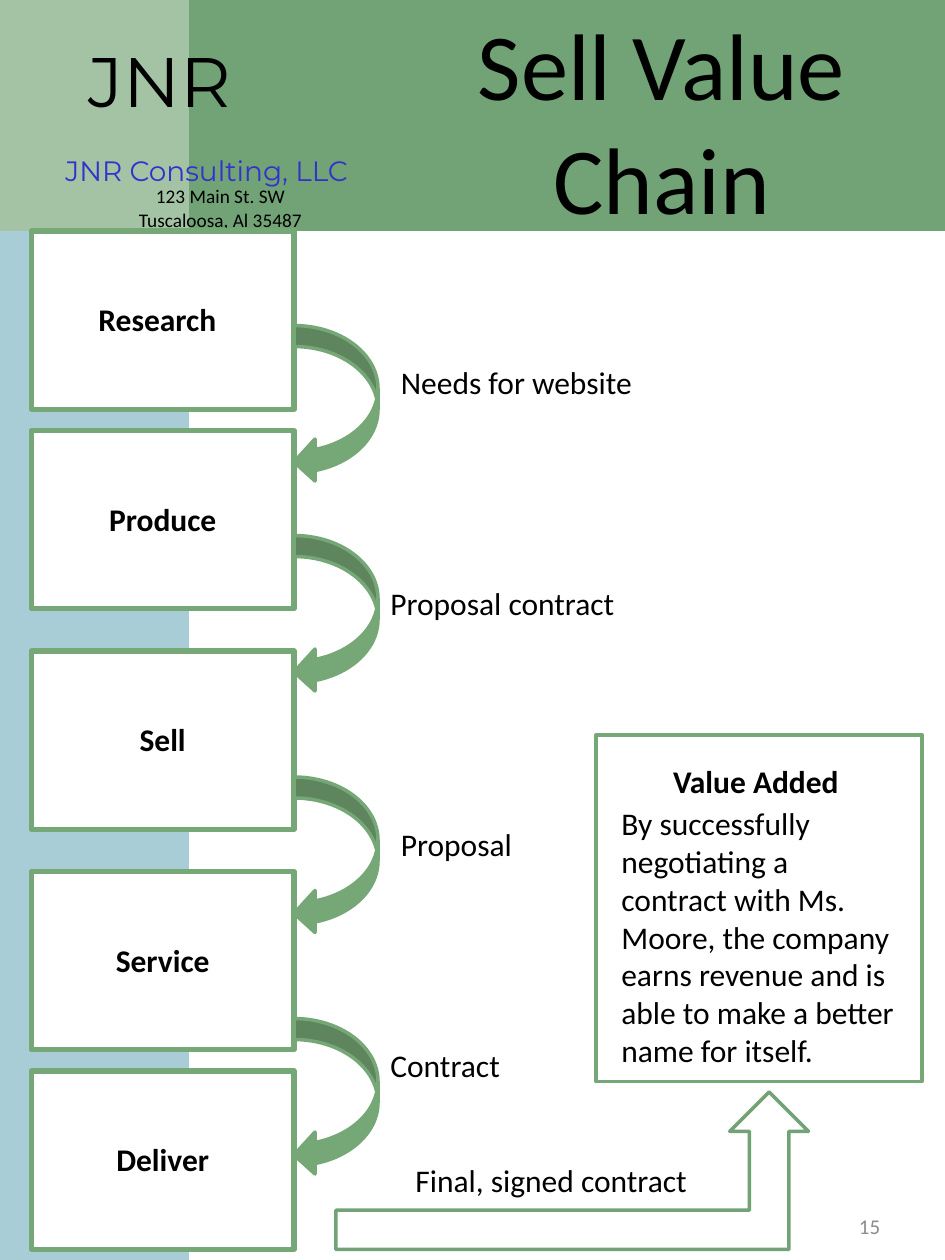
from lxml import etree
from pptx import Presentation
from pptx import util as u
from pptx.dml import color
from pptx.enum import shapes, text
from pptx.oxml import ns

PX = 7620  # EMU per px, 120 px to the inch
GREEN, STAGE_GREEN, WHITE, BLACK = "72A376", "76A776", "FFFFFF", "000000"
LEFT, CENTER, RIGHT = text.PP_ALIGN.LEFT, text.PP_ALIGN.CENTER, text.PP_ALIGN.RIGHT
KIND = shapes.MSO_SHAPE

STAGES = ["Research", "Produce", "Sell", "Service", "Deliver"]
STAGE_TOPS = [220, 410, 620, 830, 1020]
STAGE_LEFT, STAGE_WIDTH, STAGE_HEIGHT = 30, 250, 170
HANDOVER_TOPS = [310, 510, 740, 970]
HANDOVERS = [
    ("Needs for website", 370, 340, 280),
    ("Proposal contract", 360, 550, 260),
    ("Proposal", 370, 780, 190),
    ("Contract", 360, 990, 180),
]
VALUE = ("By successfully negotiating a contract with Ms. Moore, the company "
         "earns revenue and is able to make a better name for itself.")


def rgb(value):
    return color.RGBColor.from_string(value)


def px(*lengths):
    return [u.Emu(length * PX) for length in lengths]


def add_block(slide, kind, box, fill, line=None, weight=0, alpha=None):
    shape = slide.shapes.add_shape(kind, *px(*box))
    shape.shadow.inherit = False
    shape.fill.solid()
    shape.fill.fore_color.rgb = rgb(fill)
    if alpha is not None:
        fill_color = shape.element.spPr.find(".//" + ns.qn("a:srgbClr"))
        etree.SubElement(fill_color, ns.qn("a:alpha"), val=str(alpha * 1000))
    if line:
        shape.line.color.rgb = rgb(line)
        shape.line.width = u.Pt(weight)
    else:
        shape.line.fill.background()


def write(frame, lines, size, hue=BLACK, align=LEFT, bold=False, font="Calibri"):
    for index, line in enumerate(lines):
        paragraph = frame.paragraphs[0] if index == 0 else frame.add_paragraph()
        paragraph.alignment = align
        run = paragraph.add_run()
        run.text = line
        run.font.name = font
        run.font.size = u.Pt(size)
        run.font.bold = bold
        run.font.color.rgb = rgb(hue)


def add_text(slide, box, lines, size, wrap=True, anchor=text.MSO_ANCHOR.TOP, **style):
    frame = slide.shapes.add_textbox(*px(*box)).text_frame
    frame.word_wrap = wrap
    frame.vertical_anchor = anchor
    write(frame, lines, size, **style)


def add_title(slide, box, title):
    shape = slide.shapes.title
    shape.left, shape.top, shape.width, shape.height = px(*box)
    frame = shape.text_frame
    frame.word_wrap = True
    frame.auto_size = text.MSO_AUTO_SIZE.NONE
    frame.vertical_anchor = text.MSO_ANCHOR.TOP
    write(frame, [title], 54, align=CENTER)
    # Bring the title in front of the header band
    shape.element.getparent().append(shape.element)


def add_header(slide):
    add_block(slide, KIND.RECTANGLE, (0, 80, 180, 1120), "A8CDD7")
    add_block(slide, KIND.RECTANGLE, (0, 0, 900, 220), GREEN)
    add_block(slide, KIND.RECTANGLE, (0, 0, 180, 220), "B0CCB0", alpha=80)
    add_text(slide, (55, 30, 194, 92), ["JNR"], 40, wrap=False,
             align=CENTER, font="Montserrat")
    add_text(slide, (50, 140, 294, 37), ["JNR Consulting, LLC"], 16, wrap=False,
             hue="3333CC", align=CENTER, font="Montserrat")
    add_text(slide, (0, 170, 420, 56), ["123 Main St. SW", "Tuscaloosa, Al 35487"],
             11, align=CENTER)
    add_title(slide, (360, 0, 540, 230), "Sell Value Chain")


def add_chain(slide):
    for top in STAGE_TOPS:
        add_block(slide, KIND.RECTANGLE, (STAGE_LEFT, top, STAGE_WIDTH, STAGE_HEIGHT),
                  WHITE, STAGE_GREEN, 3)
    for top in HANDOVER_TOPS:
        add_block(slide, KIND.CURVED_LEFT_ARROW,
                  (STAGE_LEFT + STAGE_WIDTH, top, 80, 150), STAGE_GREEN, STAGE_GREEN, 2)
    for stage, top in zip(STAGES, STAGE_TOPS):
        width = 240 if stage == "Research" else STAGE_WIDTH
        add_text(slide, (STAGE_LEFT, top + 60, width, 48), [stage], 18,
                 align=CENTER, bold=True)
    for label, left, top, width in HANDOVERS:
        add_text(slide, (left, top, width, 48), [label], 18)


def add_outcome(slide):
    add_block(slide, KIND.BENT_UP_ARROW, (320, 1040, 450, 150), WHITE, GREEN, 2)
    add_block(slide, KIND.RECTANGLE, (568, 700, 310, 330), WHITE, STAGE_GREEN, 2.25)
    add_text(slide, (570, 720, 300, 48), ["Value Added"], 18, align=CENTER, bold=True)
    add_text(slide, (580, 760, 290, 266), [VALUE], 18)
    add_text(slide, (340, 1100, 370, 48), ["Final, signed contract"], 18, align=CENTER)


def main():
    presentation = Presentation()
    presentation.slide_width, presentation.slide_height = px(900, 1200)
    slide = presentation.slides.add_slide(presentation.slide_layouts[5])

    # Side strip, header band, company details and title
    add_header(slide)
    # Five stages with the hand-over between each pair
    add_chain(slide)
    # Signed contract leading to the value added
    add_outcome(slide)
    # Page number
    add_text(slide, (640, 1136, 210, 64), ["15"], 12, anchor=text.MSO_ANCHOR.MIDDLE,
             hue="8C8C8C", align=RIGHT)

    presentation.save("out.pptx")


if __name__ == "__main__":
    main()
